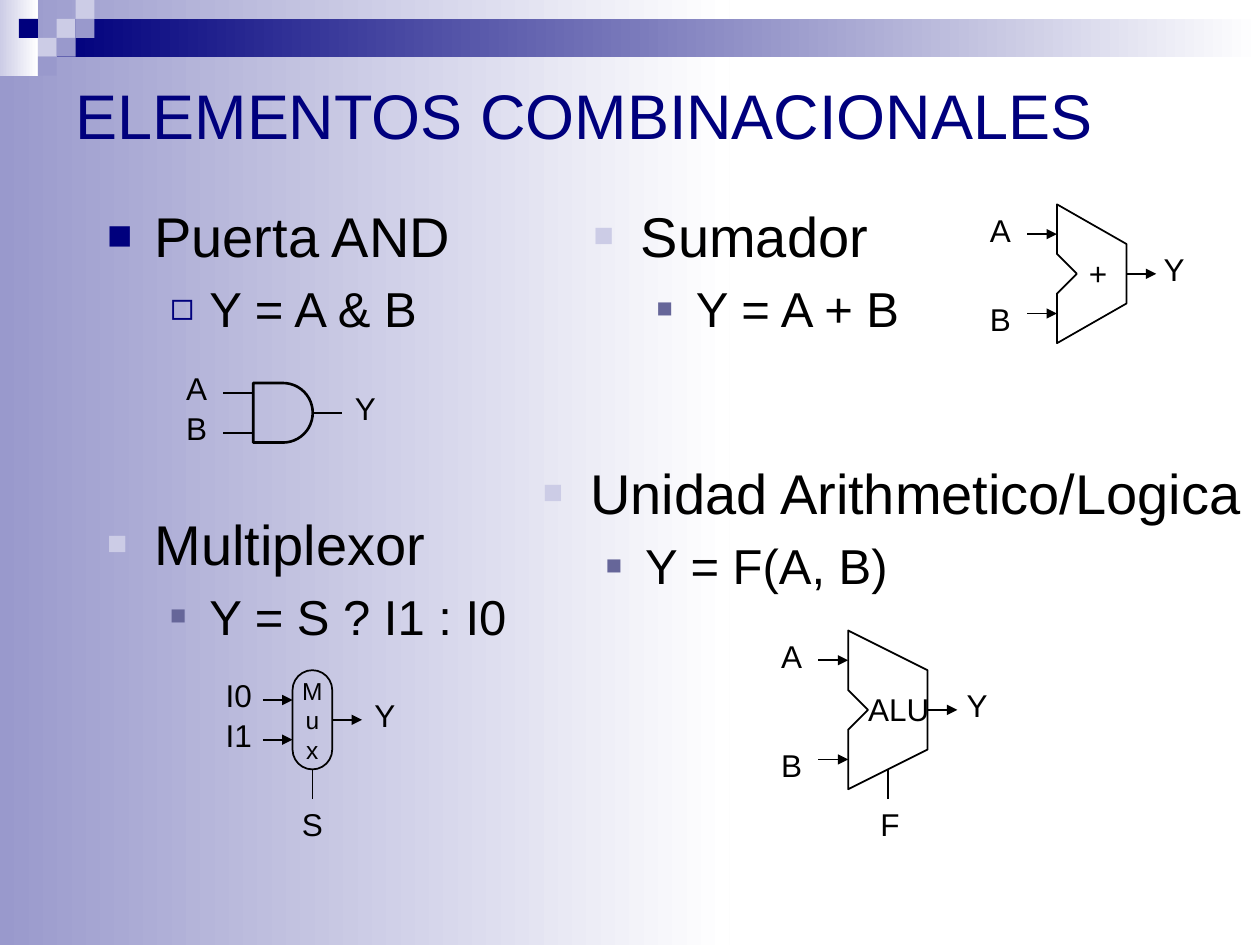
from lxml.etree import SubElement
from pptx import Presentation
from pptx.dml.color import RGBColor
from pptx.enum.shapes import MSO_CONNECTOR, MSO_SHAPE
from pptx.enum.text import MSO_ANCHOR, MSO_AUTO_SIZE, PP_ALIGN
from pptx.oxml.ns import qn
from pptx.util import Pt

FONT, BLACK, NAVY = "Arial", "000000", "00007D"
LILAC, LAVENDER, SLATE, WHITE = "CCCCE6", "9999CC", "666699", "FFFFFF"

TITLE = "ELEMENTOS COMBINACIONALES"

# left, top, width, height, start colour of the fade to white
BANDS = [
    (0, 0, 416.9, 540, LAVENDER),
    (0, 0, 21.6, 43.2, LILAC),
    (32.4, 10.8, 687.6, 21.6, NAVY),
]
TILE = 10.8
TILES = [  # column, row, colour
    (3, 1, LILAC), (4, 0, LILAC), (4, 1, LAVENDER), (2, 2, LILAC),
    (1, 1, NAVY), (3, 2, LAVENDER), (2, 3, LAVENDER),
]

# bullet character, colour, size in percent
MAIN_BULLET, SUB_BULLET = ("■", LILAC, 60), ("■", SLATE, 55)
TOPICS = [  # name, formula, left, top, width, bullets
    ("Puerta AND", "Y = A & B", 54, 111.6, 244, ("■", NAVY, 75), ("◻", NAVY, 80)),
    ("Multiplexor", "Y = S ? I1 : I0", 54, 287.3, 255, MAIN_BULLET, SUB_BULLET),
    ("Sumador", "Y = A + B", 332, 111.6, 244, MAIN_BULLET, SUB_BULLET),
    ("Unidad Arithmetico/Logica", "Y = F(A, B)", 303, 258.5, 417,
     MAIN_BULLET, SUB_BULLET),
]
TOPIC_HEIGHT = 102.2

# Diagrams are drawn in grid units from their own top left corner.
UNIT = 5.67
WIRE = 3
DIAGRAMS = [
    {"origin": (144.7, 218.9), "size": (6, 6), "preset": MSO_SHAPE.FLOWCHART_DELAY,
     "weight": 1.5, "inputs": (1, 5), "arrows": False,
     "labels": [("A", -8, -2, 26.6), ("B", -8, 2, 26.6), ("Y", 9, 0, 26.6)]},
    {"origin": (167.2, 383), "size": (4, 10), "preset": MSO_SHAPE.ROUNDED_RECTANGLE,
     "weight": 1, "inputs": (3, 7), "arrows": True, "select": (2, 10),
     "stacked": "M\vu\vx",
     "labels": [("I0", -8, 0, 29.5), ("I1", -8, 4, 29.5), ("Y", 7, 2, 26.6),
                ("S", -0.3, 13, 26.6)]},
    {"origin": (604, 116.8), "size": (7, 14), "notch": (5, 9), "slope": 4,
     "weight": 1, "inputs": (3, 11), "arrows": True, "core": ("+", 3.2, 5, 10.8),
     "labels": [("A", -8, 0, 26.6), ("B", -8, 9, 26.6), ("Y", 9.5, 4, 26.6)]},
    {"origin": (484.7, 360.3), "size": (8, 16), "notch": (6, 10), "slope": 4,
     "weight": 1, "inputs": (3, 13), "arrows": True, "select": (4, 14),
     "core": ("ALU", 2, 6, 35.3),
     "labels": [("A", -8, 0, 26.6), ("B", -8, 11, 26.6), ("Y", 10.7, 5, 26.6),
                ("F", 2, 17, 25.2)]},
]


def rgb(code):
    return RGBColor.from_string(code)


def set_font(paragraph, size, colour=BLACK):
    font = paragraph.font
    font.name, font.size, font.bold = FONT, Pt(size), False
    font.color.rgb = rgb(colour)


def place(shape, left, top, width, height):
    shape.left, shape.top = Pt(left), Pt(top)
    shape.width, shape.height = Pt(width), Pt(height)


def add_backdrop(slide, left, top, width, height, colour, fades=False):
    """Add a borderless block behind the placeholders."""
    block = slide.shapes.add_shape(
        MSO_SHAPE.RECTANGLE, Pt(left), Pt(top), Pt(width), Pt(height))
    block.shadow.inherit = False
    block.line.fill.background()
    if fades:
        block.fill.gradient()
        block.fill.gradient_angle = 0
        for stop, code in zip(block.fill.gradient_stops, (colour, WHITE)):
            stop.color.rgb = rgb(code)
    else:
        block.fill.solid()
        block.fill.fore_color.rgb = rgb(colour)
    slide.shapes.title.element.addprevious(block.element)


def set_bullet(paragraph, bullet, margin, hanging):
    character, colour, percent = bullet
    properties = paragraph._p.get_or_add_pPr()
    properties.set("marL", str(Pt(margin)))
    properties.set("indent", str(-Pt(hanging)))
    tint = SubElement(properties, qn("a:buClr"))
    SubElement(tint, qn("a:srgbClr"), val=colour)
    SubElement(properties, qn("a:buSzPct"), val=str(percent * 1000))
    SubElement(properties, qn("a:buFont"), typeface=FONT)
    SubElement(properties, qn("a:buChar"), char=character)


def fill_topic(placeholder, name, formula, left, top, width, main, sub):
    place(placeholder, left, top, width, TOPIC_HEIGHT)
    frame = placeholder.text_frame
    frame.text = f"{name}\n{formula}"
    frame.auto_size = MSO_AUTO_SIZE.NONE
    frame.vertical_anchor = MSO_ANCHOR.TOP
    styles = [(32, main, 27, 27), (28, sub, 58.5, 22.5)]
    for level, (paragraph, style) in enumerate(zip(frame.paragraphs, styles)):
        size, bullet, margin, hanging = style
        paragraph.level = level
        paragraph.space_before = Pt(size * 0.2)
        set_bullet(paragraph, bullet, margin, hanging)
        set_font(paragraph, size)


def outline(shape, weight):
    shape.shadow.inherit = False
    shape.fill.background()
    shape.line.color.rgb = rgb(BLACK)
    shape.line.width = Pt(weight)


def add_wire(slide, start, end, arrow=False):
    wire = slide.shapes.add_connector(MSO_CONNECTOR.STRAIGHT, *start, *end)
    wire.line.color.rgb = rgb(BLACK)
    wire.line.width = Pt(1)
    if arrow:
        SubElement(wire.line._get_or_add_ln(), qn("a:tailEnd"), type="triangle")
    SubElement(wire._element.spPr, qn("a:effectLst"))
    return wire


def add_label(slide, text, corner, width, inset=True):
    label = slide.shapes.add_textbox(*corner, Pt(width), Pt(28.8 if inset else 21.6))
    frame = label.text_frame
    frame.word_wrap = False
    if not inset:
        frame.margin_left = frame.margin_right = 0
        frame.margin_top = frame.margin_bottom = 0
    frame.text = text
    set_font(frame.paragraphs[0], 18)


def draw_diagram(slide, diagram):
    left, top = diagram["origin"]
    width, height = diagram["size"]
    arrows = diagram["arrows"]

    def at(x, y):
        return Pt(left + x * UNIT), Pt(top + y * UNIT)

    preset = diagram.get("preset")
    if preset:
        body = slide.shapes.add_shape(
            preset, *at(0, 0), Pt(width * UNIT), Pt(height * UNIT))
    else:
        upper, lower = diagram["notch"]
        slope = diagram["slope"]
        builder = slide.shapes.build_freeform(*at(0, 0))
        builder.add_line_segments([
            at(width, slope), at(width, height - slope), at(0, height),
            at(0, lower), at(2, (upper + lower) / 2), at(0, upper)])
        body = builder.convert_to_shape()
    outline(body, diagram["weight"])

    if "stacked" in diagram:
        body.adjustments[0] = 0.5
        frame = body.text_frame
        frame.margin_left = frame.margin_right = 0
        frame.margin_top = frame.margin_bottom = 0
        frame.vertical_anchor = MSO_ANCHOR.TOP
        frame.text = diagram["stacked"]
        frame.paragraphs[0].alignment = PP_ALIGN.CENTER
        set_font(frame.paragraphs[0], 14)

    for y in diagram["inputs"]:
        add_wire(slide, at(-WIRE, y), at(0, y), arrows)
    middle = height / 2
    output = add_wire(slide, at(width, middle), at(width + WIRE, middle), arrows)
    if preset:
        output.begin_connect(body, 3)
    if "select" in diagram:
        x, y = diagram["select"]
        select = add_wire(slide, at(x, y + WIRE), at(x, y))
        if preset:
            select.end_connect(body, 2)

    for text, x, y, label_width in diagram["labels"]:
        add_label(slide, text, at(x, y), label_width)
    if "core" in diagram:
        text, x, y, label_width = diagram["core"]
        add_label(slide, text, at(x, y), label_width, inset=False)


def main():
    deck = Presentation()
    deck.slide_width, deck.slide_height = Pt(720), Pt(540)
    slide = deck.slides.add_slide(deck.slide_layouts.get_by_name("Comparison"))

    for *box, colour in BANDS:
        add_backdrop(slide, *box, colour, fades=True)
    for column, row, colour in TILES:
        add_backdrop(slide, column * TILE, row * TILE, TILE, TILE, colour)

    title = slide.shapes.title
    place(title, 36, 36, 648, 58.3)
    title.text_frame.text = TITLE
    title.text_frame.auto_size = MSO_AUTO_SIZE.NONE
    title.text_frame.vertical_anchor = MSO_ANCHOR.MIDDLE
    title.text_frame.paragraphs[0].alignment = PP_ALIGN.LEFT
    set_font(title.text_frame.paragraphs[0], 36, NAVY)

    topic_bodies = [p for p in slide.placeholders if p.placeholder_format.idx > 0]
    for placeholder, topic in zip(topic_bodies, TOPICS):
        fill_topic(placeholder, *topic)
    for diagram in DIAGRAMS:
        draw_diagram(slide, diagram)
    deck.save("out.pptx")


if __name__ == "__main__":
    main()
